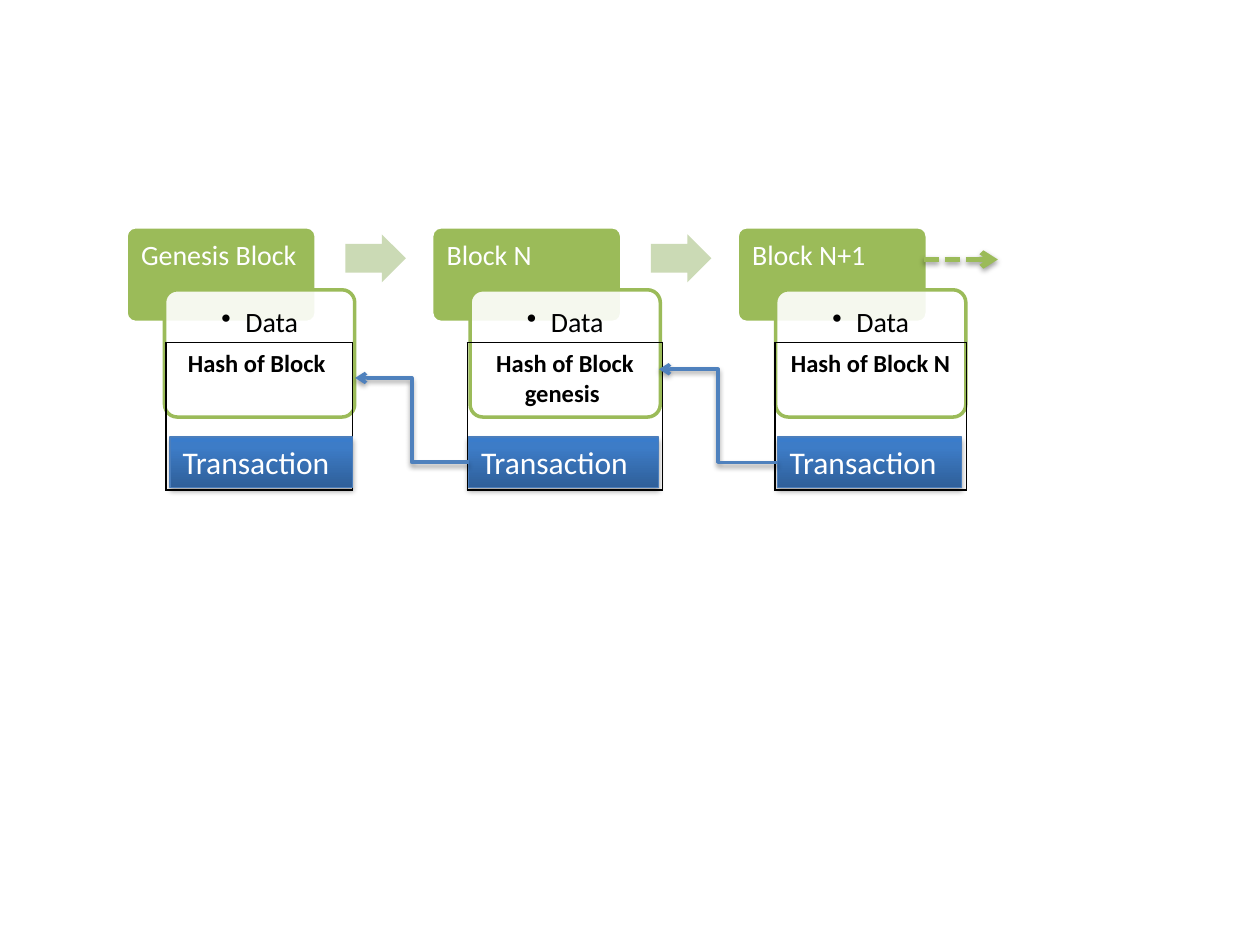
from copy import deepcopy
from lxml import etree
from pptx import Presentation
from pptx.dml.color import RGBColor
from pptx.enum import dml, shapes, text
from pptx.oxml import ns
from pptx.util import Pt

WHITE = RGBColor(0xFF, 0xFF, 0xFF)
BLACK = RGBColor(0x00, 0x00, 0x00)
GREEN = RGBColor(0x9B, 0xBB, 0x59)
PALE_GREEN = RGBColor(0xCB, 0xDA, 0xB5)
BLUE = RGBColor(0x4F, 0x81, 0xBD)
EDGE_BLUE = RGBColor(0x4B, 0x7E, 0xBC)
GRADIENT = [
    (0, RGBColor(0x2F, 0x5F, 0x99)),
    (0.8, RGBColor(0x3D, 0x7C, 0xC7)),
    (1, RGBColor(0x3A, 0x7C, 0xCB)),
]
LEFT, TOP, PITCH = 72, 129.6, 174.6
TABLE_TOP, TABLE_HEIGHT = 195.8, 84.2
BAR_TOP, BAR_HEIGHT = 249.8, 28.8
BLOCKS = [
    ("Genesis Block", "Hash of Block ", (95, 106.6), (97.2, 104.4)),
    ("Block N", "Hash of Block genesis ", (267.1, 111.6), (267.8, 108.7)),
    ("Block N+1", "Hash of Block N", (442.8, 109.4), (444.2, 105.1)),
]
HASH_ENDS = [(203, 216), (376.6, 211)]


def points(*values):
    return [Pt(value) for value in values]


def add_node(parent, tag, **values):
    return etree.SubElement(parent, ns.qn(tag), values)


def write(frame, words, size, color, bold=False, **formats):
    para = frame.paragraphs[0]
    for name, value in formats.items():
        setattr(para, name, value)
    span = para.add_run()
    span.text = words
    font = {"name": "Calibri", "size": Pt(size), "bold": bold}
    for name, value in font.items():
        setattr(span.font, name, value)
    span.font.color.rgb = color
    return para


def add_box(page, kind, box, fill, line=None, adjustments=()):
    shape = page.shapes.add_shape(kind, *points(*box))
    shape.shadow.inherit = False
    for index, value in enumerate(adjustments):
        shape.adjustments[index] = value
    shape.fill.solid()
    shape.fill.fore_color.rgb = fill
    if line is None:
        shape.line.fill.background()
    else:
        shape.line.color.rgb = line
        shape.line.width = Pt(2)
    return shape


def add_label(page, box, bottom):
    frame = page.shapes.add_textbox(*points(*box)).text_frame
    margins = {"margin_left": 8.6, "margin_top": 8.6, "margin_right": 8.6, "margin_bottom": bottom}
    for name, value in margins.items():
        setattr(frame, name, Pt(value))
    frame.word_wrap = True
    return frame


def add_shadow(effects, alpha, distance):
    shadow = add_node(effects, "a:outerShdw", blurRad=str(Pt(3.1)), dist=str(Pt(distance)),
                      dir="5400000", rotWithShape="0")
    color = add_node(shadow, "a:srgbClr", val=str(BLACK))
    add_node(color, "a:alpha", val=str(alpha * 1000))


def add_block(page, left, top, title):
    rounded = shapes.MSO_SHAPE.ROUNDED_RECTANGLE
    add_box(page, rounded, (left, top, 108.7, 54.7), GREEN, WHITE, [0.1])
    write(add_label(page, (left, top, 108.7, 36), 5), title, 16, WHITE, line_spacing=0.9)
    card = add_box(page, rounded, (left + 22, top + 36, 108.7, 72.7), WHITE, GREEN, [0.1])
    color = card.fill._xPr.find(ns.qn("a:solidFill"))[0]
    add_node(color, "a:alpha", val="90000")
    frame = add_label(page, (left + 24.2, top + 38.2, 104.4, 68.4), 8.6)
    para = write(frame, "Data", 16, BLACK, level=1, line_spacing=0.9,
                 alignment=text.PP_ALIGN.CENTER)
    properties = para._p.get_or_add_pPr()
    properties.set("marL", str(Pt(13.7)))
    properties.set("indent", str(Pt(-13.7)))
    add_node(properties, "a:buChar", char="•")


def add_hash_table(page, left, top, width, height, words):
    table = page.shapes.add_table(1, 1, *points(left, top, width, height)).table
    table.first_row = table.horz_banding = False
    cell = table.cell(0, 0)
    cell.fill.background()
    write(cell.text_frame, words, 14, BLACK, True, alignment=text.PP_ALIGN.CENTER)
    properties = cell._tc.get_or_add_tcPr()
    for index, tag in enumerate(("a:lnL", "a:lnR", "a:lnT", "a:lnB")):
        border = etree.Element(ns.qn(tag), w=str(Pt(1)))
        add_node(add_node(border, "a:solidFill"), "a:srgbClr", val=str(BLACK))
        properties.insert(index, border)


def add_transaction(page, left, top, width, height):
    bar = add_box(page, shapes.MSO_SHAPE.RECTANGLE, (left, top, width, height), EDGE_BLUE, EDGE_BLUE)
    bar.line.width = Pt(0.75)
    bar.fill.gradient()
    bar.fill.gradient_angle = 90
    stops = bar._element.spPr.find(".//" + ns.qn("a:gsLst"))
    stops.append(deepcopy(stops[-1]))
    for stop, (position, color) in zip(bar.fill.gradient_stops, GRADIENT):
        stop.position = position
        stop.color.rgb = color
    add_shadow(bar._element.spPr.find(ns.qn("a:effectLst")), 35, 1.8)
    frame = bar.text_frame
    formats = {"word_wrap": True, "vertical_anchor": text.MSO_ANCHOR.TOP,
               "auto_size": text.MSO_AUTO_SIZE.SHAPE_TO_FIT_TEXT}
    for name, value in formats.items():
        setattr(frame, name, value)
    write(frame, "Transaction", 18, WHITE, alignment=text.PP_ALIGN.LEFT)
    return bar


def add_arrow(page, kind, start, end, color, width, dash=None):
    arrow = page.shapes.add_connector(kind, *points(*start, *end))
    arrow.line.color.rgb = color
    arrow.line.width = Pt(width)
    if dash is not None:
        arrow.line.dash_style = dash
    properties = arrow._element.spPr
    add_node(properties.find(ns.qn("a:ln")), "a:tailEnd", type="arrow")
    add_shadow(add_node(properties, "a:effectLst"), 38, 1.6)
    return arrow


def add_chain(page):
    for index, (title, *_) in enumerate(BLOCKS):
        left = LEFT + index * PITCH
        add_block(page, left, TOP, title)
        if index < len(BLOCKS) - 1:
            add_box(page, shapes.MSO_SHAPE.RIGHT_ARROW, (left + 125.3, TOP + 4.3, 34.6, 27.4),
                    PALE_GREEN, adjustments=[0.6, 0.5])
    for _, words, (left, width), _ in BLOCKS:
        add_hash_table(page, left, TABLE_TOP, width, TABLE_HEIGHT, words)
    bars = [add_transaction(page, left, BAR_TOP, width, BAR_HEIGHT)
            for *_, (left, width) in BLOCKS]
    for bar, end in zip(bars[1:], HASH_ENDS):
        start = (bar.left.pt, BAR_TOP + BAR_HEIGHT / 2)
        link = add_arrow(page, shapes.MSO_CONNECTOR.ELBOW, start, end, BLUE, 2)
        link.begin_connect(bar, 1)
    add_arrow(page, shapes.MSO_CONNECTOR.STRAIGHT, (527.8, 148.3), (570.2, 148.3), GREEN, 3,
              dml.MSO_LINE.SQUARE_DOT)


def main():
    deck = Presentation()
    deck.slide_width, deck.slide_height = points(720, 540)
    page = deck.slides.add_slide(deck.slide_layouts[6])
    add_chain(page)
    deck.save("out.pptx")


if __name__ == "__main__":
    main()
